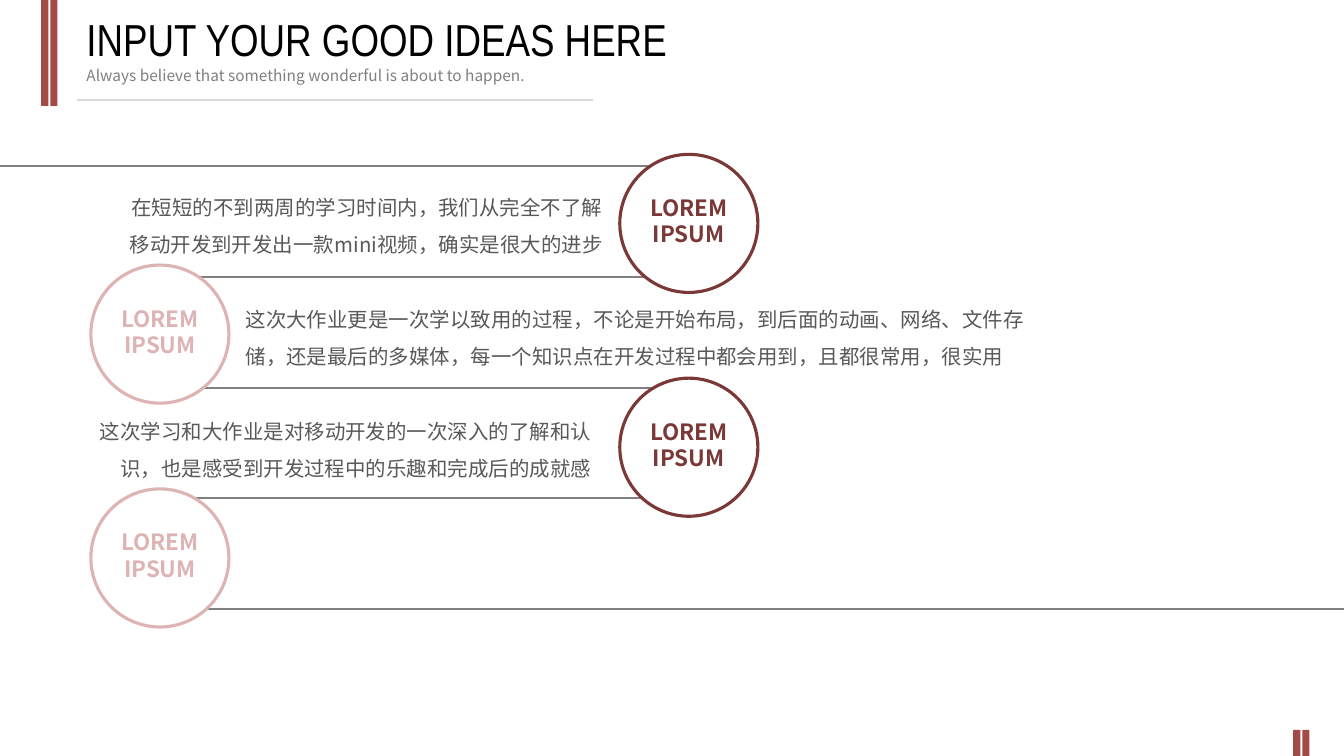
from dataclasses import dataclass

from lxml.etree import SubElement
from pptx import Presentation
from pptx.dml.color import RGBColor
from pptx.enum.shapes import MSO_CONNECTOR, MSO_SHAPE
from pptx.enum.text import MSO_ANCHOR, PP_ALIGN
from pptx.oxml.ns import qn
from pptx.util import Cm, Pt


@dataclass(frozen=True)
class Theme:
    bar: str = "A24A48"
    dark: str = "7A3836"
    light: str = "DDB4B3"
    paper: str = "FFFFFF"
    title: str = "000000"
    muted: str = "808080"
    body: str = "595959"
    hairline: str = "D9D9D9"
    title_font: str = "Arial Narrow"
    text_font: str = "Noto Sans CJK SC"
    title_size: float = 32
    subtitle_size: float = 11
    label_size: float = 16
    body_size: float = 14.6
    label_leading: float = 19
    body_leading: float = 26.5


THEME = Theme()
SLIDE_WIDTH, SLIDE_HEIGHT = 33.87, 19.05

# Timeline measures in centimetres
DISC = 3.48
ROW_STEP = 2.79
PAIR_STEP = 5.64
RIGHT_DISC_LEFT = 15.62
LEFT_DISC_LEFT = 2.29
RULE_LEFT, RULE_RIGHT = 4.06, 17.27

# Left, top, width, alignment and wording of each paragraph
STORIES = [
    (2.62, 4.47, 12.82, PP_ALIGN.RIGHT,
     "在短短的不到两周的学习时间内，我们从完全不了解移动开发到开发出一款mini视频，确实是很大的进步"),
    (5.94, 7.29, 20.45, PP_ALIGN.LEFT,
     "这次大作业更是一次学以致用的过程，不论是开始布局，到后面的动画、网络、文件存储，"
     "还是最后的多媒体，每一个知识点在开发过程中都会用到，且都很常用，很实用"),
    (1.93, 10.11, 13.23, PP_ALIGN.RIGHT,
     "这次学习和大作业是对移动开发的一次深入的了解和认识，也是感受到开发过程中的乐趣和完成后的成就感"),
]


def add_rule(slide, left, right, y, color, weight):
    rule = slide.shapes.add_connector(
        MSO_CONNECTOR.STRAIGHT, Cm(left), Cm(y), Cm(right), Cm(y))
    rule.line.color.rgb = RGBColor.from_string(color)
    rule.line.width = Pt(weight)
    SubElement(rule._element.spPr, qn("a:effectLst"))


def add_filled_shape(slide, kind, left, top, width, height, fill, outline=None):
    shape = slide.shapes.add_shape(kind, Cm(left), Cm(top), Cm(width), Cm(height))
    shape.shadow.inherit = False
    shape.fill.solid()
    shape.fill.fore_color.rgb = RGBColor.from_string(fill)
    if outline:
        shape.line.color.rgb = RGBColor.from_string(outline)
        shape.line.width = Pt(2.25)
    else:
        shape.line.fill.background()


def add_text(slide, left, top, width, height, text, size, color, font=THEME.text_font,
             bold=False, align=PP_ALIGN.LEFT, leading=None, anchor=MSO_ANCHOR.TOP, wrap=True):
    box = slide.shapes.add_textbox(Cm(left), Cm(top), Cm(width), Cm(height))
    text_frame = box.text_frame
    text_frame.word_wrap = wrap
    text_frame.vertical_anchor = anchor
    text_frame.text = text
    for paragraph in text_frame.paragraphs:
        paragraph.alignment = align
        if leading:
            paragraph.line_spacing = Pt(leading)
        for run in paragraph.runs:
            run.font.name = font
            run.font.size = Pt(size)
            run.font.bold = bold
            run.font.color.rgb = RGBColor.from_string(color)
            east_asian = SubElement(run.font._element, qn("a:ea"))
            east_asian.set("typeface", font)


def add_twin_bars(slide, left, top, height):
    for offset in (0, 0.23):
        add_filled_shape(slide, MSO_SHAPE.RECTANGLE, left + offset, top, 0.18, height, THEME.bar)


def add_header(slide, left, top):
    add_twin_bars(slide, left - 0.89, top, 2.67)
    add_rule(slide, left, left + 13.01, top + 2.52, THEME.hairline, 0.75)
    add_text(slide, left, top + 1.52, 17.93, 0.74,
             "Always believe that something wonderful is about to happen.",
             THEME.subtitle_size, THEME.muted, anchor=MSO_ANCHOR.MIDDLE)
    add_text(slide, left, top + 0.15, 22.02, 1.63, "INPUT YOUR GOOD IDEAS HERE",
             THEME.title_size, THEME.title, THEME.title_font, anchor=MSO_ANCHOR.MIDDLE)


def add_disc(slide, left, top, color):
    add_filled_shape(slide, MSO_SHAPE.OVAL, left, top, DISC, DISC, THEME.paper, color)
    add_text(slide, left + 0.44, top + 0.88, 2.6, 1.63, "LOREM\nIPSUM", THEME.label_size,
             color, bold=True, align=PP_ALIGN.CENTER, leading=THEME.label_leading, wrap=False)


def add_timeline(slide, top):
    # Rules: the first runs in from the left edge, the last out to the right edge
    for row in range(5):
        left = 0 if row == 0 else RULE_LEFT
        right = SLIDE_WIDTH if row == 4 else RULE_RIGHT
        add_rule(slide, left, right, top + 0.3 + row * ROW_STEP, THEME.muted, 1.5)
    # Discs alternate right and left in two pairs
    for pair in range(2):
        pair_top = top + pair * PAIR_STEP
        add_disc(slide, RIGHT_DISC_LEFT, pair_top, THEME.dark)
        add_disc(slide, LEFT_DISC_LEFT, pair_top + ROW_STEP, THEME.light)
    # Paragraphs between the rules
    for left, story_top, width, align, text in STORIES:
        add_text(slide, left, story_top, width, 2.13, text, THEME.body_size, THEME.body,
                 align=align, leading=THEME.body_leading)


def main():
    presentation = Presentation()
    presentation.slide_width = Cm(SLIDE_WIDTH)
    presentation.slide_height = Cm(SLIDE_HEIGHT)
    slide = presentation.slides.add_slide(presentation.slide_layouts[6])
    add_header(slide, 1.93, 0)
    add_timeline(slide, 3.89)
    # Corner mark
    add_twin_bars(slide, 32.59, 18.39, 0.66)
    presentation.save("out.pptx")


if __name__ == "__main__":
    main()
